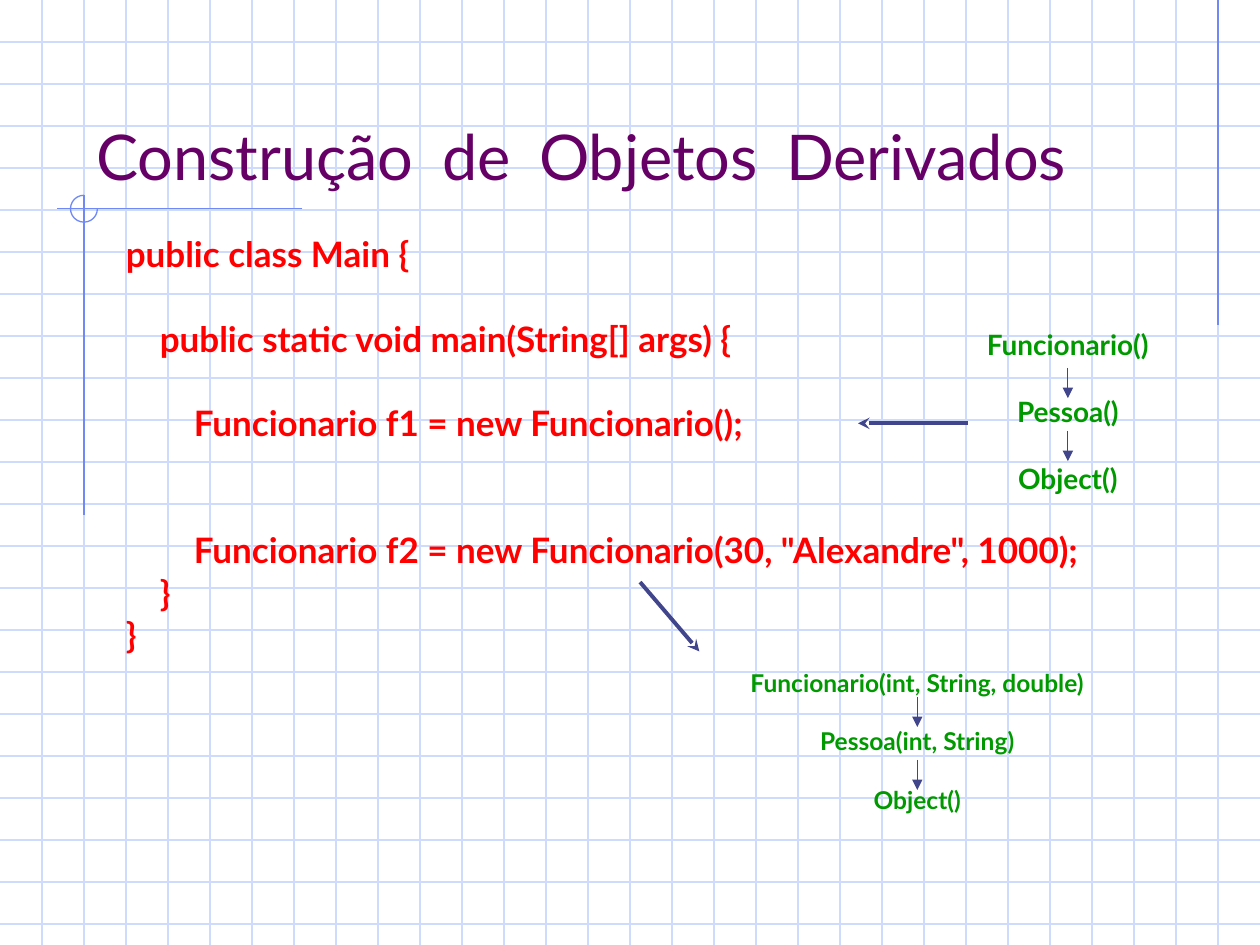
import pptx
import pptx.dml.color
import pptx.enum.shapes
import pptx.enum.text
import pptx.oxml.ns
import pptx.util
from lxml import etree

# The page is a grid of square cells, three to the inch
COLUMNS, ROWS = 30, 22.5
LINE_HEIGHT = 1.2
ALIGN = pptx.enum.text.PP_ALIGN
ANCHOR = pptx.enum.text.MSO_ANCHOR


def cells(count):
    return pptx.util.Inches(count / 3)


def color(value):
    return pptx.dml.color.RGBColor.from_string(value)


class GridSlide:
    font = "Lato"
    grid, accent, arrow_color = "CFDBFD", "6F89F7", "40458C"
    title_color, code_color, call_color = "660066", "FF0000", "009900"

    def __init__(self, deck):
        self.page = deck.slides.add_slide(deck.slide_layouts[6])
        fill = self.page.background.fill
        fill.solid()
        fill.fore_color.rgb = color("FFFFFF")

    def line(self, start, end, stroke, width=0.75, tip=None):
        connector = self.page.shapes.add_connector(
            pptx.enum.shapes.MSO_CONNECTOR.STRAIGHT,
            *map(cells, (*start, *end)))
        connector.line.color.rgb = color(stroke)
        connector.line.width = pptx.util.Pt(width)
        if tip:
            outline = connector.line._get_or_add_ln()
            etree.SubElement(outline, pptx.oxml.ns.qn("a:tailEnd"), type=tip)
        properties = connector._element.spPr
        etree.SubElement(properties, pptx.oxml.ns.qn("a:effectLst"))

    def arc(self, left, top, size):
        shape = self.page.shapes.add_shape(
            pptx.enum.shapes.MSO_SHAPE.ARC,
            *map(cells, (left, top, size, size)))
        shape.shadow.inherit = False
        # Three quarters of a turn, from the right round to the top
        shape.adjustments[0], shape.adjustments[1] = 0, 162
        shape.fill.background()
        shape.line.color.rgb = color(self.accent)
        shape.line.width = pptx.util.Pt(0.75)

    def text_frame(self, area, anchor=ANCHOR.TOP):
        box = self.page.shapes.add_textbox(*map(cells, area))
        frame = box.text_frame
        frame.word_wrap = True
        frame.vertical_anchor = anchor
        return frame

    def paragraph(self, frame, first, before=0, align=ALIGN.LEFT):
        para = frame.paragraphs[0] if first else frame.add_paragraph()
        para.alignment = align
        if not first:
            para.space_before = pptx.util.Pt(before)
        return para

    def span(self, para, text, size, ink, bold=True):
        span = para.add_run()
        span.text = text
        span.font.name = self.font
        span.font.size = pptx.util.Pt(size)
        span.font.bold = bold
        span.font.color.rgb = color(ink)
        return span

    def title(self, area, text):
        frame = self.text_frame(area, ANCHOR.BOTTOM)
        para = self.paragraph(frame, True)
        for index, word in enumerate(text.split()):
            if index:  # widened word gap
                gap = self.span(para, " ", 36, self.title_color, False)
                gap.font._element.set("spc", "700")
            self.span(para, word, 36, self.title_color, False)

    def code(self, area, lines, size=20, spacing=0.8, gap=5):
        """Each line comes with the number of empty lines above it."""
        frame = self.text_frame(area)
        pitch = size * LINE_HEIGHT * spacing + gap
        for index, (skipped, text) in enumerate(lines):
            para = self.paragraph(frame, index == 0, gap + skipped * pitch)
            para.line_spacing = spacing
            self.span(para, text, size, self.code_color)

    def call_chain(self, area, calls, size, first_arrow):
        """Centred calls, one empty line apart, with arrows in between."""
        left, top, width, _ = area
        frame = self.text_frame(area)
        for index, call in enumerate(calls):
            para = self.paragraph(frame, index == 0, size * LINE_HEIGHT,
                                  ALIGN.CENTER)
            self.span(para, call, size, self.call_color)
        middle = left + width / 2
        for index in range(len(calls) - 1):
            start = top + first_arrow + 1.5 * index
            self.line((middle, start), (middle, start + 0.72),
                      self.arrow_color, tip="triangle")

    def pointer(self, start, end):
        self.line(start, end, self.arrow_color, 2.25, "stealth")


def main():
    deck = pptx.Presentation()
    deck.slide_width, deck.slide_height = cells(COLUMNS), cells(ROWS)
    slide = GridSlide(deck)

    # Squared paper
    for row in range(1, int(ROWS) + 1):
        slide.line((0, row), (COLUMNS, row), slide.grid)
    for column in range(1, COLUMNS):
        slide.line((column, 0), (column, ROWS), slide.grid)

    # Margin lines and corner mark
    slide.line((29, 0), (29, 7.75), slide.accent)
    slide.line((7.2, 4.97), (1.35, 4.97), slide.accent)
    slide.line((2, 4.65), (2, 12.27), slide.accent)
    slide.arc(1.68, 4.65, 0.64)

    # Title and code
    slide.title((2, 1, 25.5, 3.75), "Construção de Objetos Derivados")
    slide.code((2.7, 5.58, 25.5, 11.34), [
        (0, "public class Main {"),
        (1, "    public static void main(String[] args) {"),
        (1, "        Funcionario f1 = new Funcionario();"),
        (2, '        Funcionario f2 = new Funcionario(30, "Alexandre", 1000);'),
        (0, "    }"),
        (0, "}"),
    ])

    # Constructor calls for f1
    slide.pointer((23.04, 10.08), (20.43, 10.08))
    slide.call_chain((22.56, 7.65, 5.73, 4.32),
                     ["Funcionario()", "Pessoa()", "Object()"], 16, 1.11)

    # Constructor calls for f2
    slide.pointer((15.24, 13.86), (16.65, 15.51))
    slide.call_chain((16.41, 15.75, 10.86, 3.81),
                     ["Funcionario(int, String, double)",
                      "Pessoa(int, String)", "Object()"], 14, 0.84)

    deck.save("out.pptx")


if __name__ == "__main__":
    main()
